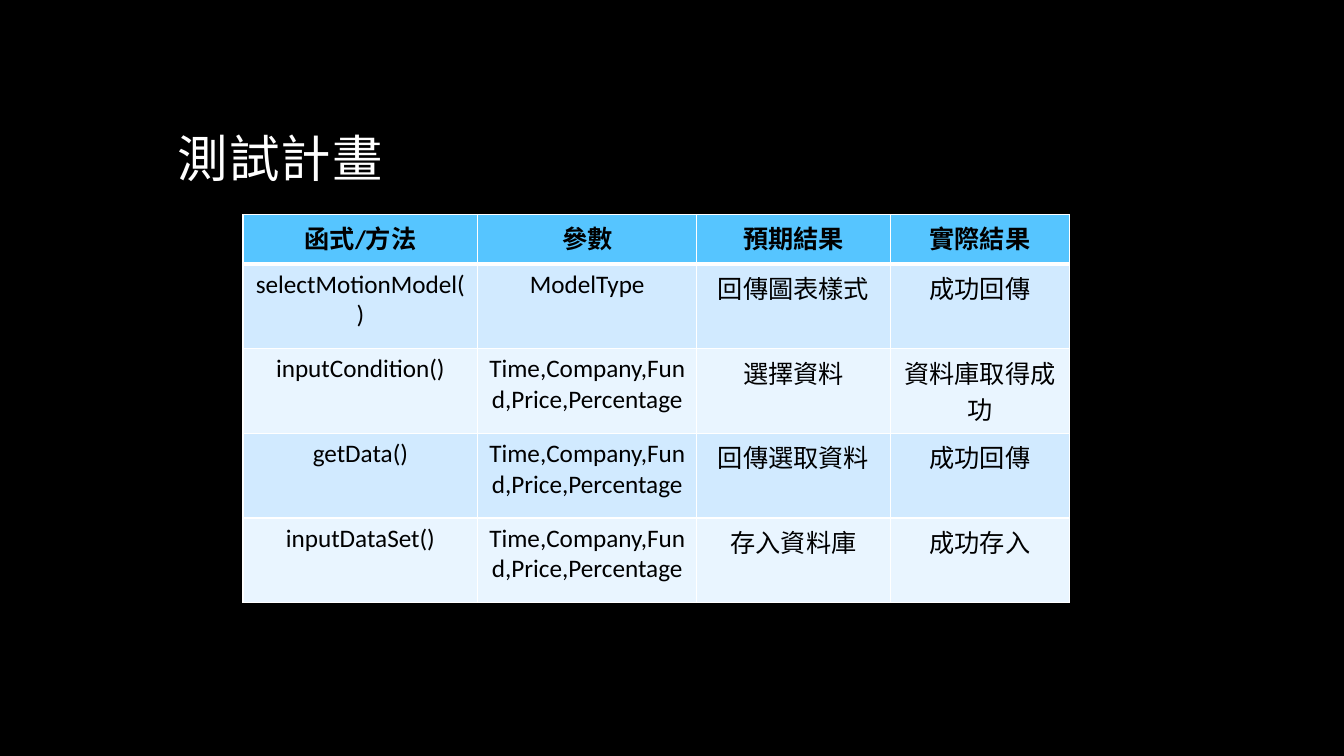
from lxml import etree
from pptx import Presentation
from pptx.dml.color import RGBColor
from pptx.enum.text import MSO_ANCHOR, PP_ALIGN
from pptx.oxml.ns import qn
from pptx.util import Inches, Pt

BOTTOM = MSO_ANCHOR.BOTTOM
LEFT, CENTER = PP_ALIGN.LEFT, PP_ALIGN.CENTER
LATIN, HAN = "Calibri", "Noto Sans CJK TC"
COLORS = {
    "back": "000000",
    "title": "FFFFFF",
    "text": "000000",
    "line": "FFFFFF",
    "head": "56C5FF",
    "odd": "D1EAFF",
    "even": "E9F5FF",
}
COLS = [2.33, 2.17, 1.92, 1.78]
ROWS = [0.49] + [0.84] * 4
FIELDS = "Time,Company,Fund,Price,Percentage"
TESTS = [
    ["函式/方法", "參數", "預期結果", "實際結果"],
    ["selectMotionModel()", "ModelType", "回傳圖表樣式", "成功回傳"],
    ["inputCondition()", FIELDS, "選擇資料", "資料庫取得成功"],
    ["getData()", FIELDS, "回傳選取資料", "成功回傳"],
    ["inputDataSet()", FIELDS, "存入資料庫", "成功存入"],
]


def color(name):
    """Return the named colour."""
    return RGBColor.from_string(COLORS[name])


def write(frame, text, size=18, font=LATIN, ink="text", bold=False,
          align=CENTER, space=None, track=0):
    """Put formatted text into a text frame."""
    frame.word_wrap = True
    para = frame.paragraphs[0]
    para.alignment = align
    para.line_spacing = space
    run = para.add_run()
    run.text = text
    run.font.size = Pt(size)
    run.font.bold = bold
    run.font.name = font
    run.font.color.rgb = color(ink)
    props = run.font._element
    props.set("spc", str(track * 100))
    etree.SubElement(props, qn("a:ea"), typeface=HAN)


def edge(cell, top, bottom):
    """Draw the four borders of a cell, with widths in points."""
    props = cell._tc.get_or_add_tcPr()
    sides = {"lnL": 1, "lnR": 1, "lnT": top, "lnB": bottom}
    for spot, (side, width) in enumerate(sides.items()):
        line = etree.Element(qn("a:" + side), w=str(Pt(width)))
        fill = etree.SubElement(line, qn("a:solidFill"))
        etree.SubElement(fill, qn("a:srgbClr"), val=COLORS["line"])
        props.insert(spot, line)


def add_title(slide, box, text):
    """Place the slide title at the bottom of its box."""
    frame = slide.shapes.add_textbox(*map(Inches, box)).text_frame
    frame.vertical_anchor = BOTTOM
    write(frame, text, size=36, font=HAN, ink="title", align=LEFT,
          space=0.9, track=1)


def add_grid(slide, left, top, data):
    """Place the test table with its corner at the given point."""
    size = map(Inches, (left, top, sum(COLS), sum(ROWS)))
    table = slide.shapes.add_table(len(ROWS), len(COLS), *size).table
    for col, width in zip(table.columns, COLS):
        col.width = Inches(width)
    for row, height in zip(table.rows, ROWS):
        row.height = Inches(height)
    for r, line in enumerate(data):
        head = r == 0
        band = "head" if head else "odd" if r % 2 else "even"
        for c, text in enumerate(line):
            cell = table.cell(r, c)
            cell.fill.solid()
            cell.fill.fore_color.rgb = color(band)
            edge(cell, 3 if r == 1 else 1, 3 if head else 1)
            write(cell.text_frame, text, bold=head)


def main():
    """Build and save the slide."""
    deck = Presentation()
    deck.slide_width, deck.slide_height = Inches(13.33), Inches(7.5)
    slide = deck.slides.add_slide(deck.slide_layouts[6])
    slide.background.fill.solid()
    slide.background.fill.fore_color.rgb = color("back")
    add_title(slide, (1.66, 0.42, 10, 1.5), "測試計畫")
    add_grid(slide, 2.41, 2.13, TESTS)
    deck.save("out.pptx")


if __name__ == "__main__":
    main()
